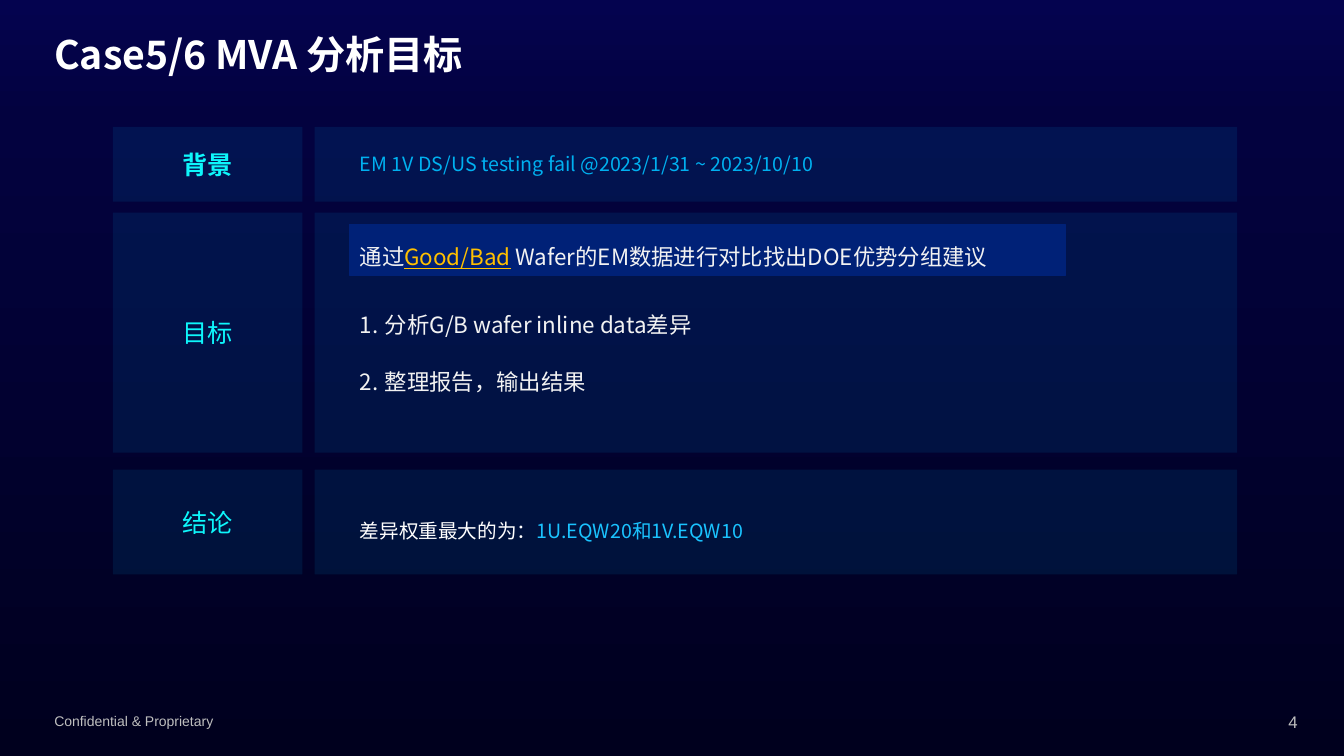
from copy import deepcopy
from dataclasses import dataclass

from lxml import etree
from pptx import Presentation
from pptx.dml.color import RGBColor
from pptx.enum.shapes import MSO_SHAPE
from pptx.enum.text import MSO_ANCHOR, MSO_AUTO_SIZE, PP_ALIGN
from pptx.oxml.ns import qn
from pptx.util import Inches, Pt

RECTANGLE = MSO_SHAPE.RECTANGLE
TOP, MIDDLE = MSO_ANCHOR.TOP, MSO_ANCHOR.MIDDLE
GROW = MSO_AUTO_SIZE.SHAPE_TO_FIT_TEXT
LEFT, CENTER, RIGHT, JUSTIFY = (
    PP_ALIGN.LEFT, PP_ALIGN.CENTER, PP_ALIGN.RIGHT, PP_ALIGN.JUSTIFY)


@dataclass(frozen=True)
class Theme:
    font: str = "Noto Sans CJK SC"
    footer_font: str = "Arial"
    background: tuple = ((0, "04034F"), (0.16, "03023F"), (1, "00001E"))
    panel: str = "00B0F0"
    panel_opacity: int = 10
    highlight: str = "002177"
    white: str = "FFFFFF"
    body: str = "F2F2F2"
    label: str = "0EF6FB"
    fact: str = "00B0F0"
    result: str = "1AC3FF"
    accent: str = "FFC000"
    footer: str = "BFBFBF"
    title_size: int = 28
    label_size: int = 18
    body_size: int = 16
    detail_size: int = 14
    page_size: int = 12
    footer_size: int = 10


class SlideBuilder:
    def __init__(self, slide, theme):
        self.slide = slide
        self.theme = theme

    def background(self):
        fill = self.slide.background.fill
        fill.gradient()
        fill.gradient_angle = 270
        first = fill.gradient_stops[0]._gs
        first.addnext(deepcopy(first))
        for stop, (position, color) in zip(fill.gradient_stops, self.theme.background):
            stop.position = position
            stop.color.rgb = RGBColor.from_string(color)

    def rectangle(self, box, color, opacity=100):
        shape = self.slide.shapes.add_shape(RECTANGLE, *map(Inches, box))
        shape.shadow.inherit = False
        shape.fill.solid()
        shape.fill.fore_color.rgb = RGBColor.from_string(color)
        shape.line.fill.background()
        if opacity < 100:
            fill_color = shape.fill._xPr.find(".//" + qn("a:srgbClr"))
            etree.SubElement(fill_color, qn("a:alpha"), val=str(opacity * 1000))
        return shape

    def panel(self, box):
        return self.rectangle(box, self.theme.panel, self.theme.panel_opacity)

    def label(self, box, caption, bold=False):
        theme = self.theme
        self.set_text(self.panel(box), [[(caption, theme.label)]], theme.label_size,
                      align=CENTER, anchor=MIDDLE, bold=bold)

    def highlight(self, box, parts):
        theme = self.theme
        shape = self.rectangle(box, theme.highlight)
        shape.line.color.rgb = RGBColor.from_string(theme.highlight)
        shape.line.width = Pt(0.75)
        self.set_text(shape, [parts], theme.body_size, align=JUSTIFY,
                      spacing=1.5, after=12)

    def text(self, box, paragraphs, size, grow=True, **style):
        shape = self.slide.shapes.add_textbox(*map(Inches, box))
        self.set_text(shape, paragraphs, size, **style)
        if grow:
            shape.text_frame.auto_size = GROW

    def set_text(self, shape, paragraphs, size, align=LEFT, anchor=TOP, bold=False,
                 spacing=None, after=None, numbered=False, font=None):
        """Fill a shape; each paragraph is a list of (text, color[, underlined])."""
        frame = shape.text_frame
        frame.word_wrap = True
        frame.vertical_anchor = anchor
        for index, parts in enumerate(paragraphs):
            paragraph = frame.add_paragraph() if index else frame.paragraphs[0]
            paragraph.alignment = align
            if spacing:
                paragraph.line_spacing = spacing
            if after:
                paragraph.space_after = Pt(after)
            if numbered:
                self.number(paragraph)
            face = paragraph.font
            face.size, face.bold = Pt(size), bold
            face.color.rgb = RGBColor.from_string(parts[0][1])
            face.name = font or self.theme.font
            etree.SubElement(face._element, qn("a:ea"), typeface=face.name)
            for content, color, *underlined in parts:
                run = paragraph.add_run()
                run.text = content
                if color != parts[0][1]:
                    run.font.color.rgb = RGBColor.from_string(color)
                if underlined:
                    run.font.underline = True

    @staticmethod
    def number(paragraph):
        properties = paragraph._p.get_or_add_pPr()
        indent = Inches(0.25)
        properties.set("marL", str(indent))
        properties.set("indent", str(-indent))
        etree.SubElement(properties, qn("a:buFont"), typeface="+mj-lt")
        etree.SubElement(properties, qn("a:buAutoNum"), type="arabicPeriod")


def main():
    theme = Theme()
    deck = Presentation()
    deck.slide_width, deck.slide_height = Inches(13.33), Inches(7.5)
    builder = SlideBuilder(deck.slides.add_slide(deck.slide_layouts[6]), theme)
    builder.background()

    builder.text((0.44, 0.3, 10.08, 0.53), [[("Case5/6 MVA 分析目标", theme.white)]],
                 theme.title_size, grow=False, anchor=MIDDLE, bold=True, spacing=0.9)

    sections = (("背景", 1.26, 0.74, True), ("目标", 2.11, 2.38, False),
                ("结论", 4.66, 1.04, False))
    for caption, top, height, bold in sections:
        builder.label((1.12, top, 1.88, height), caption, bold)
        builder.panel((3.12, top, 9.15, height))

    content_left = 3.47
    builder.text((content_left, 1.46, 5.41, 0.34),
                 [[("EM 1V DS/US testing fail @2023/1/31 ~ 2023/10/10", theme.fact)]],
                 theme.detail_size)
    builder.highlight((content_left, 2.23, 7.1, 0.5), [
        ("通过", theme.body),
        ("Good/Bad", theme.accent, True),
        (" Wafer的EM数据进行对比找出DOE优势分组建议", theme.body)])
    steps = ("分析G/B wafer inline data差异", "整理报告，输出结果")
    builder.text((content_left, 2.9, 7.1, 1.08), [[(step, theme.body)] for step in steps],
                 theme.body_size, align=JUSTIFY, spacing=1.5, after=12, numbered=True)
    builder.text((content_left, 4.98, 6.6, 0.45),
                 [[("差异权重最大的为：", theme.white),
                   ("1U.EQW20和1V.EQW10", theme.result)]],
                 theme.detail_size, align=JUSTIFY, spacing=1.5, after=12)

    builder.text((0.44, 7.02, 4.5, 0.27), [[("Confidential & Proprietary", theme.footer)]],
                 theme.footer_size, font=theme.footer_font)
    builder.text((12.47, 7.01, 0.5, 0.3), [[("4", theme.footer)]],
                 theme.page_size, align=RIGHT, font=theme.footer_font)
    deck.save("out.pptx")


if __name__ == "__main__":
    main()
